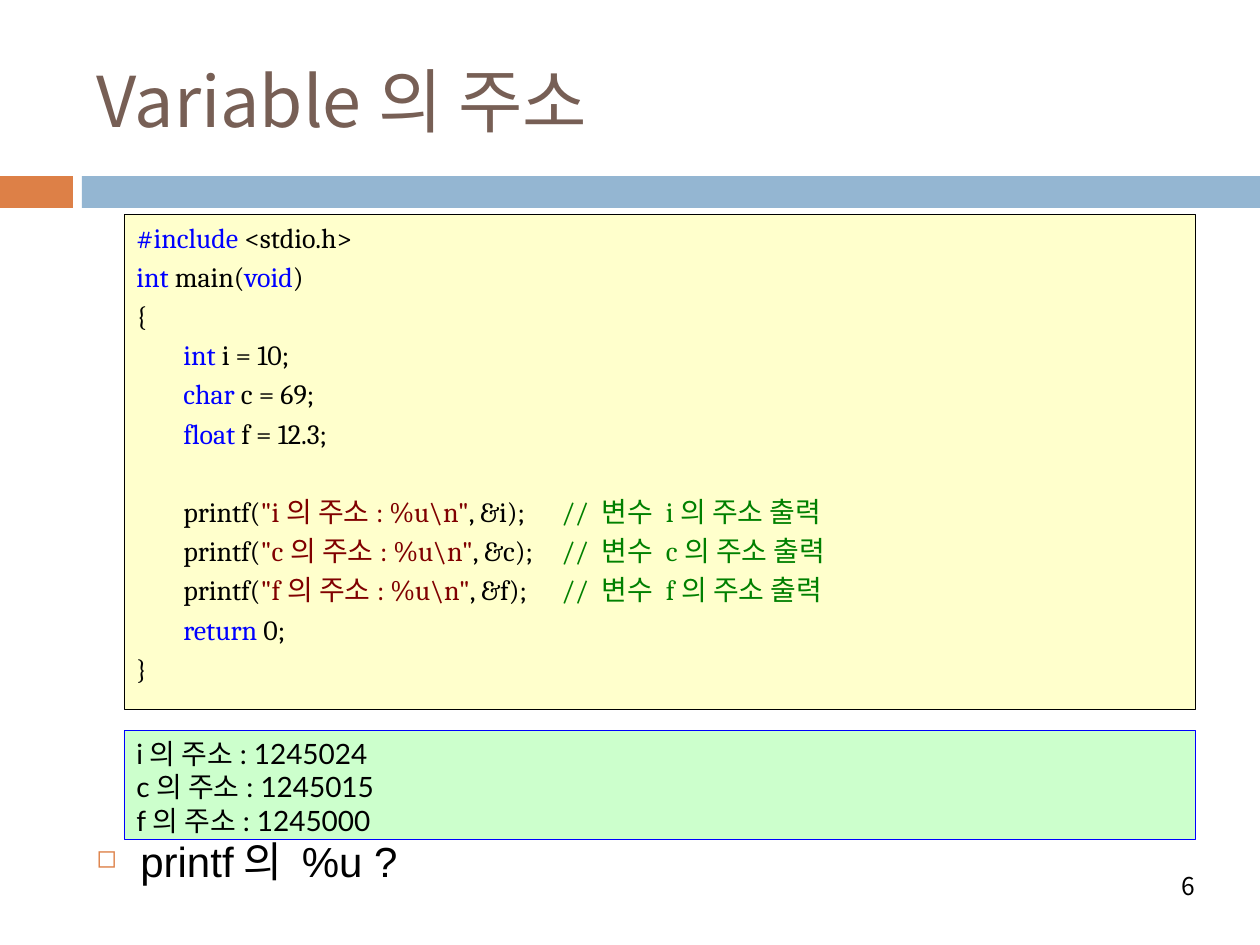
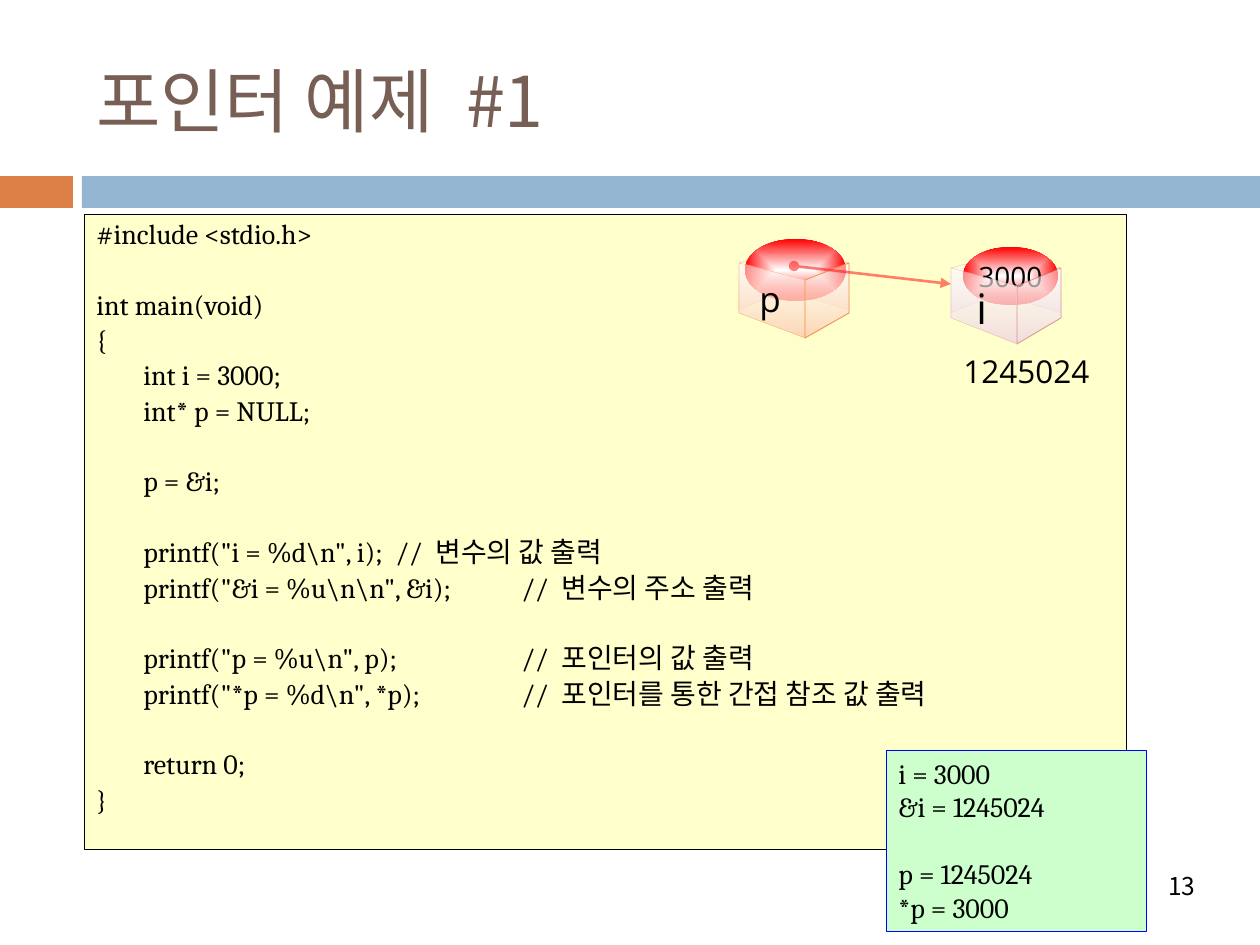
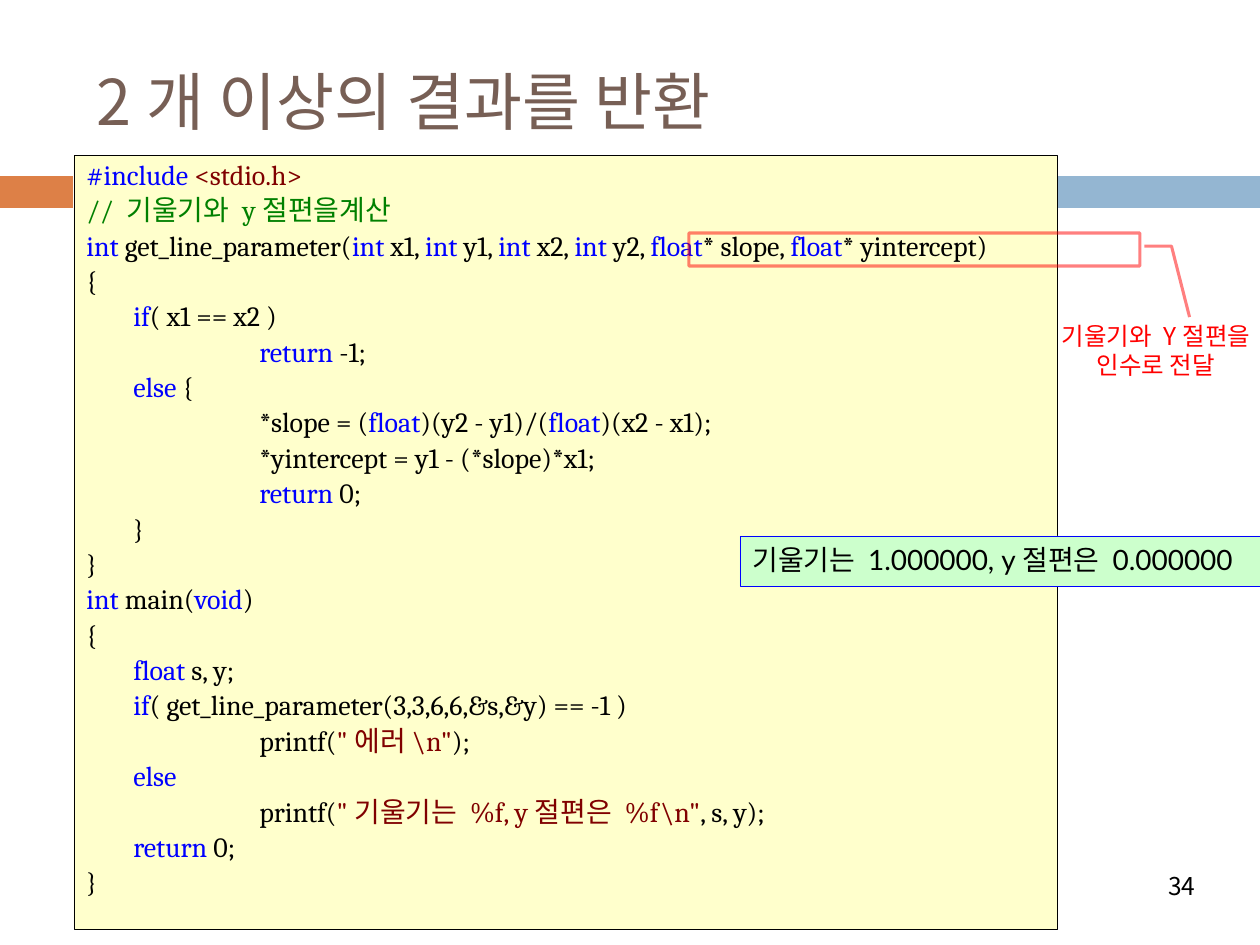
from itertools import groupby

from lxml.etree import SubElement
from pptx import Presentation
from pptx.dml.color import RGBColor
from pptx.enum.shapes import MSO_CONNECTOR as Connector, MSO_SHAPE as Shape
from pptx.enum.text import MSO_ANCHOR as Anchor, PP_ALIGN as Align
from pptx.oxml.ns import qn
from pptx.util import Emu, Pt

PX = 914400 / 126
COLORS = {
    "orange": "DD8047", "band": "94B6D2", "title": "775F55", "code": "FFFFCC",
    "output": "CCFFCC", "black": "000000", "blue": "0000FF", "maroon": "800000",
    "green": "008000", "red": "FF0000", "white": "FFFFFF", "peach": "FCD5B5",
    "peach line": "F79646", "pink": "F2DCDB", "pink line": "C0504D",
}
KOREAN, SERIF, SANS, LABEL = "Noto Sans CJK KR", "Cambria", "Lato", "Open Sans"
KEYWORDS = {"#include", "int", "void", "char", "float", "return", "if", "else"}
SYNTAX = {"keyword": "blue", "string": "maroon", "comment": "green"}
LINE_PT, CODE_GAP = 19.2, 3.2
CODE_INDENT, TAB_WIDTH = 47, 126

# Content
SLIDES = [
    {
        "title": ("Variable의 주소", 40), "number": "6",
        "code": {"at": (124, 214, 1071, 495), "syntax": SYNTAX, "pitch": None, "lines": [
            "#include <stdio.h>",
            "int main(void)",
            "{",
            "\tint i = 10;",
            "\tchar c = 69;",
            "\tfloat f = 12.3;",
            "",
            "\tprintf(\"i의 주소: %u\\n\", &i);\t// 변수 i의 주소 출력",
            "\tprintf(\"c의 주소: %u\\n\", &c);\t// 변수 c의 주소 출력",
            "\tprintf(\"f의 주소: %u\\n\", &f);\t// 변수 f의 주소 출력",
            "\treturn 0;",
            "}",
        ]},
        "output": {"at": (124, 730, 1071, 109), "font": SANS, "lines": [
            "i의 주소: 1245024", "c의 주소: 1245015", "f의 주소: 1245000"]},
        "question": "printf의 %u ?",
    },
    {
        "title": ("포인터 예제 #1", 40), "number": "13",
        "code": {"at": (84, 214, 1042, 635), "syntax": {}, "pitch": 17, "lines": [
            "#include <stdio.h>",
            "",
            "int main(void)",
            "{",
            "\tint i = 3000;",
            "\tint* p = NULL;",
            "",
            "\tp = &i;",
            "",
            "\tprintf(\"i = %d\\n\", i);\t// 변수의 값 출력",
            "\tprintf(\"&i = %u\\n\\n\", &i);\t// 변수의 주소 출력",
            "",
            "\tprintf(\"p = %u\\n\", p);\t// 포인터의 값 출력",
            "\tprintf(\"*p = %d\\n\", *p);\t// 포인터를 통한 간접 참조 값 출력",
            "",
            "\treturn 0;",
            "}",
        ]},
        "output": {"at": (886, 750, 260, 181), "font": SERIF, "lines": [
            "i = 3000", "&i = 1245024", "", "p = 1245024", "*p = 3000"]},
        "variables": [
            {"name": "p", "size": 20, "name at": (747, 271, 49, 55), "value": "",
             "disc": (745, 239, 101, 62), "left": 739, "color": "peach", "alpha": 100,
             "back": (249, 263, 290, 310), "front": (280, 263, 338, 313)},
            {"name": "i", "size": 24, "name at": (964, 276, 42, 63), "value": "3000",
             "disc": (963, 247, 95, 58), "left": 951, "color": "pink", "alpha": 50,
             "back": (256, 268, 294, 312), "front": (286, 268, 344, 318)},
        ],
        "pointer": (794, 266, 951, 284),
        "address": ("1245024", (951, 346, 155, 50)),
    },
    {
        "title": ("2개 이상의 결과를 반환", 36), "number": "34",
        "code": {"at": (74, 155, 983, 774), "syntax": {**SYNTAX, "header": "maroon"},
                 "pitch": 17, "lines": [
            "#include <stdio.h>",
            "// 기울기와 y절편을계산",
            "int get_line_parameter(int x1, int y1, int x2, int y2, "
            "float* slope, float* yintercept)",
            "{",
            "\tif( x1 == x2 )",
            "\t\treturn -1;",
            "\telse {",
            "\t\t*slope = (float)(y2 - y1)/(float)(x2 - x1);",
            "\t\t*yintercept = y1 - (*slope)*x1;",
            "\t\treturn 0;",
            "\t}",
            "}",
            "int main(void)",
            "{",
            "\tfloat s, y;",
            "\tif( get_line_parameter(3,3,6,6,&s,&y) == -1 )",
            "\t\tprintf(\"에러\\n\");",
            "\telse",
            "\t\tprintf(\"기울기는 %f, y절편은 %f\\n\", s, y);",
            "\treturn 0;",
            "}",
        ]},
        "callout": {"at": (689, 233, 451, 33), "text": "기울기와 Y절편을 인수로 전달",
                    "text at": (1027, 324, 258, 52),
                    "bend": (0.4, 1.01, 0.4, 1.07, 2.55, 1.11)},
        "output": {"at": (740, 536, 520, 50), "font": SANS, "lines": [
            "기울기는 1.000000, y절편은 0.000000"]},
    },
]


def px(*lengths):
    return [Emu(round(length * PX)) for length in lengths]


def rgb(name):
    return RGBColor.from_string(COLORS[name])


# Text
def tokens(line):
    code, slashes, note = line.partition("//")
    header = ""
    if code.startswith("#include"):
        code, bracket, rest = code.partition("<")
        header = bracket + rest
    for index, part in enumerate(code.split('"')):
        if index % 2:
            yield f'"{part}"', "string"
            continue
        for _, chars in groupby(part, lambda ch: ch.isalnum() or ch in "_#"):
            word = "".join(chars)
            yield word, "keyword" if word in KEYWORDS else "plain"
    yield header, "header"
    yield slashes + note, "comment"


def highlight(line, syntax):
    colored = ((text, syntax.get(kind, "black")) for text, kind in tokens(line) if text)
    return [("".join(text for text, _ in group), color)
            for color, group in groupby(colored, lambda token: token[1])]


def format_run(run, font, size, color):
    run.font.name, run.font.size = font, Pt(size)
    run.font.color.rgb = rgb(color)
    SubElement(run._r.get_or_add_rPr(), qn("a:ea")).set("typeface", KOREAN)


def write(frame, lines, font, size, color="black", align=Align.LEFT, anchor=Anchor.TOP,
          wrap=True, syntax=None, pitch=None, gap=0):
    frame.word_wrap, frame.vertical_anchor = wrap, anchor
    frame.text = "\n".join(line for line in lines if line)
    paragraphs = iter(frame.paragraphs)
    space = 0
    for line in lines:
        if not line:
            space += (pitch or LINE_PT) + gap
            continue
        paragraph = next(paragraphs)
        paragraph.alignment = align
        paragraph.space_before = Pt(space)
        if pitch:
            paragraph.line_spacing = Pt(pitch)
        if syntax is not None:
            paragraph.text = ""
            for text, run_color in highlight(line, syntax):
                run = paragraph.add_run()
                run.text = text
                format_run(run, font, size, run_color)
        else:
            for run in paragraph.runs:
                format_run(run, font, size, color)
        space = gap


def indent(paragraph, length):
    properties = paragraph._p.get_or_add_pPr()
    properties.set("marL", str(px(length)[0]))
    properties.set("indent", str(px(-length)[0]))
    return properties


def add_text(slide, at, lines, font, size, **style):
    frame = slide.shapes.add_textbox(*px(*at)).text_frame
    write(frame, lines, font, size, **style)
    return frame


# Shapes
def set_alpha(color_parent, percent):
    if percent < 100:
        for color in color_parent.iter(qn("a:srgbClr")):
            SubElement(color, qn("a:alpha")).set("val", str(percent * 1000))


def outline(shape, color, width, alpha=100):
    shape.line.color.rgb = rgb(color)
    shape.line.width = Pt(width)
    set_alpha(shape.line._get_or_add_ln(), alpha)


def add_panel(slide, at, fill=None, kind=Shape.RECTANGLE):
    panel = slide.shapes.add_shape(kind, *px(*at))
    panel.shadow.inherit = False
    if fill:
        panel.fill.solid()
        panel.fill.fore_color.rgb = rgb(fill)
    else:
        panel.fill.background()
    panel.line.fill.background()
    return panel


def fade(shape, color, from_alpha=100, radial=False):
    shape.fill.gradient()
    shape.fill.gradient_angle = 270
    stops = shape.fill.gradient_stops
    for stop, name, position in zip(stops, ("white", color), (0, 1)):
        stop.color.rgb, stop.position = rgb(name), position
    gradient = shape._element.spPr.find(qn("a:gradFill"))
    set_alpha(gradient.find(qn("a:gsLst"))[0], from_alpha)
    if radial:
        gradient.remove(gradient.find(qn("a:lin")))
        center = SubElement(SubElement(gradient, qn("a:path"), {"path": "shape"}),
                            qn("a:fillToRect"))
        for side in "ltrb":
            center.set(side, "50000")


def add_cube_sides(slide, variable, side):
    left, right = variable["left"], variable["left"] + 110
    edge = left + (45 if side == "back" else 66)
    edge_top, side_top, edge_bottom, side_bottom = variable[side]
    for outer in (left, right):
        corners = [(edge, edge_top), (edge, edge_bottom),
                   (outer, side_bottom), (outer, side_top)]
        builder = slide.shapes.build_freeform(*corners[0], scale=PX)
        builder.add_line_segments(corners[1:], close=True)
        face = builder.convert_to_shape()
        face.shadow.inherit = False
        fade(face, variable["color"], from_alpha=50)
        width = 0.5 if side == "front" and outer == right else 0.1
        outline(face, variable["color"] + " line", width, variable["alpha"])


def add_variable(slide, variable):
    add_cube_sides(slide, variable, "back")
    disc = add_panel(slide, variable["disc"], kind=Shape.OVAL)
    fade(disc, "red", radial=True)
    if variable["value"]:
        write(disc.text_frame, [variable["value"]], LABEL, 16, align=Align.CENTER,
              anchor=Anchor.MIDDLE, wrap=False)
    add_cube_sides(slide, variable, "front")
    add_text(slide, variable["name at"], [variable["name"]], LABEL, variable["size"],
             wrap=False)


def add_pointer(slide, ends):
    arrow = slide.shapes.add_connector(Connector.STRAIGHT, *px(*ends))
    outline(arrow, "red", 1.5, 50)
    line = arrow.line._get_or_add_ln()
    SubElement(line, qn("a:headEnd")).set("type", "oval")
    SubElement(line, qn("a:tailEnd")).set("type", "triangle")
    SubElement(arrow._element.spPr, qn("a:effectLst"))


def add_callout(slide, callout):
    frame = add_panel(slide, callout["at"], kind=Shape.LINE_CALLOUT_2)
    for index, value in enumerate(callout["bend"]):
        frame.adjustments[index] = value
    outline(frame, "red", 1.75, 50)
    add_text(slide, callout["text at"], [callout["text"]], KOREAN, 14, color="red",
             align=Align.CENTER, anchor=Anchor.MIDDLE)


# Slide parts
def add_frame(slide, content):
    add_panel(slide, (0, 176, 73, 32), "orange")
    add_panel(slide, (82, 176, 1178, 32), "band")
    title, size = content["title"]
    add_text(slide, (84, 32, 1124, 136), [title], KOREAN, size, color="title",
             anchor=Anchor.MIDDLE)
    add_text(slide, (858, 861, 350, 50), [content["number"]], KOREAN, 14,
             align=Align.RIGHT, anchor=Anchor.MIDDLE)


def add_code(slide, code):
    panel = add_panel(slide, code["at"], "code")
    outline(panel, "black", 0.25)
    write(panel.text_frame, code["lines"], SERIF, 16, syntax=code["syntax"],
          pitch=code["pitch"], gap=CODE_GAP)
    for paragraph in panel.text_frame.paragraphs:
        properties = indent(paragraph, CODE_INDENT)
        properties.set("defTabSz", str(px(TAB_WIDTH)[0]))


def add_output(slide, output):
    panel = add_panel(slide, output["at"], "output")
    outline(panel, "blue", 0.33)
    write(panel.text_frame, output["lines"], output["font"], 16)


def add_question(slide, question):
    frame = add_text(slide, (84, 829, 1124, 84), [question], "Arial", 24)
    properties = indent(frame.paragraphs[0], 44)
    bullet_color = SubElement(properties, qn("a:buClr"))
    SubElement(bullet_color, qn("a:srgbClr")).set("val", COLORS["orange"])
    SubElement(properties, qn("a:buSzPct")).set("val", "60000")
    SubElement(properties, qn("a:buChar")).set("char", "◻")


def main():
    deck = Presentation()
    deck.slide_width, deck.slide_height = px(1260, 945)
    for content in SLIDES:
        slide = deck.slides.add_slide(deck.slide_layouts[6])
        add_frame(slide, content)
        if "question" in content:
            add_question(slide, content["question"])
        add_code(slide, content["code"])
        for variable in content.get("variables", []):
            add_variable(slide, variable)
        if "pointer" in content:
            add_pointer(slide, content["pointer"])
            address, at = content["address"]
            add_text(slide, at, [address], LABEL, 18, wrap=False)
        if "callout" in content:
            add_callout(slide, content["callout"])
        add_output(slide, content["output"])
    deck.save("out.pptx")


if __name__ == "__main__":
    main()
